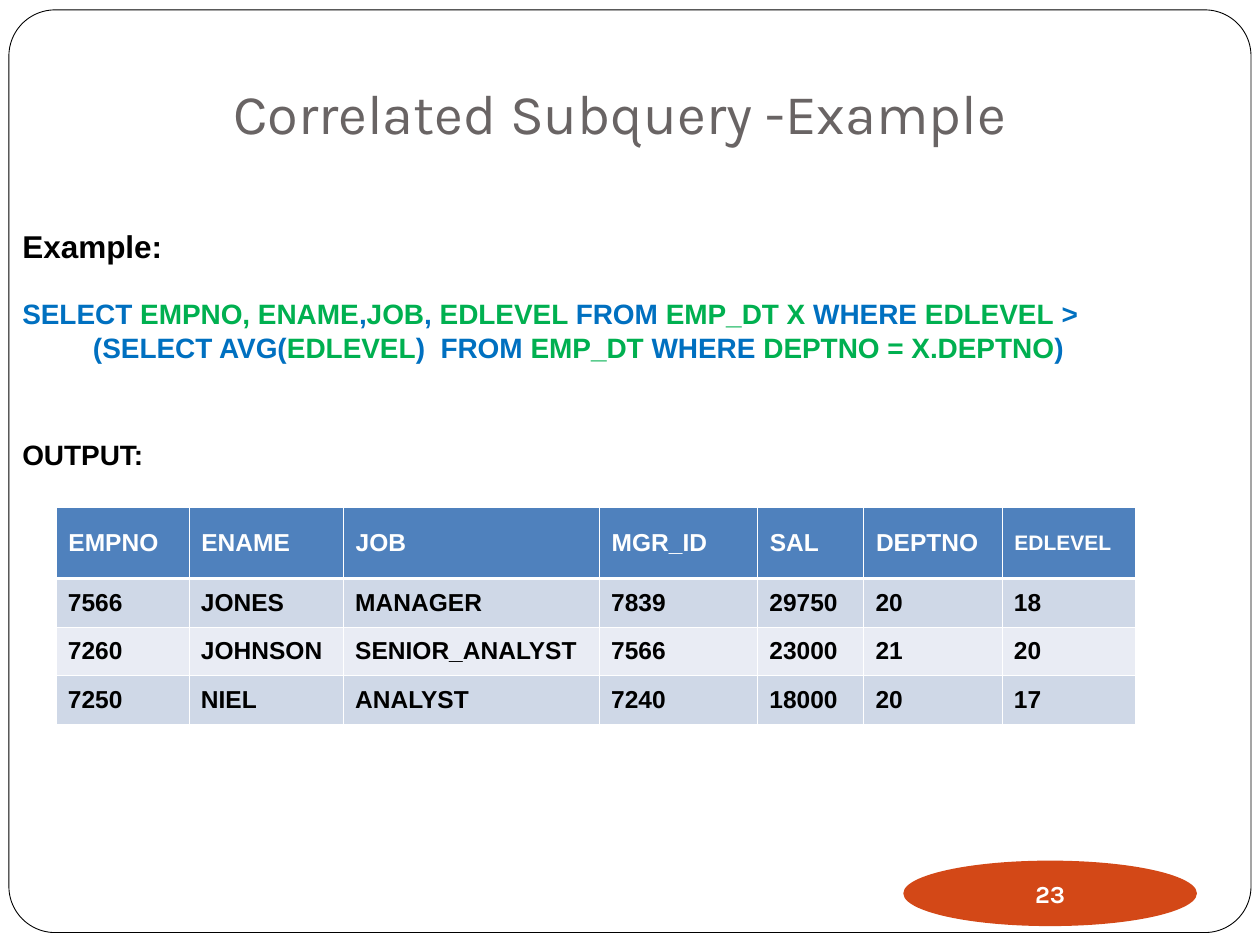
from lxml import etree
from pptx import Presentation
from pptx.dml.color import RGBColor
from pptx.enum.shapes import MSO_SHAPE
from pptx.enum.text import MSO_ANCHOR, PP_ALIGN
from pptx.oxml.ns import qn
from pptx.util import Cm, Pt

ROUNDED, OVAL = MSO_SHAPE.ROUNDED_RECTANGLE, MSO_SHAPE.OVAL
MIDDLE, BOTTOM = MSO_ANCHOR.MIDDLE, MSO_ANCHOR.BOTTOM
CENTER = PP_ALIGN.CENTER
WHITE, BLACK, BLUE, GREEN = "FFFFFF", "000000", "0070C0", "00B050"


def rgb(color):
    return RGBColor.from_string(color)


def style(p, size, color, name="Arial", bold=True):
    p.font.size = Pt(size)
    p.font.name = name
    p.font.bold = bold
    p.font.color.rgb = rgb(color)


prs = Presentation()
prs.slide_width, prs.slide_height = Cm(25.4), Cm(19.05)
s = prs.slides.add_slide(prs.slide_layouts[6])

# Rounded frame
frame = s.shapes.add_shape(ROUNDED, Cm(0.18), Cm(0.2), Cm(25.04), Cm(18.6))
frame.shadow.inherit = False
frame.adjustments[0] = 0.05
frame.fill.solid()
frame.fill.fore_color.rgb = rgb(WHITE)
frame.line.color.rgb = rgb(BLACK)
frame.line.width = Pt(0.5)

# Title
title = s.shapes.add_textbox(Cm(4.45), Cm(0), Cm(20.95), Cm(3.18))
tf = title.text_frame
tf.word_wrap = True
tf.vertical_anchor = BOTTOM
tf.margin_bottom = Cm(0.25)
p = tf.paragraphs[0]
p.text = "Correlated Subquery -Example"
style(p, 32, "696464", "Karla", False)

# Slide number
badge = s.shapes.add_shape(OVAL, Cm(18.21), Cm(17.35), Cm(5.92), Cm(1.32))
badge.shadow.inherit = False
badge.fill.solid()
badge.fill.fore_color.rgb = rgb("D34817")
badge.line.fill.background()
tf = badge.text_frame
tf.word_wrap = False
tf.vertical_anchor = MIDDLE
tf.margin_left = tf.margin_right = tf.margin_top = tf.margin_bottom = 0
p = tf.paragraphs[0]
p.text = "23"
p.alignment = CENTER
style(p, 14, WHITE, "Karla")

# Result table
rows = [
    ["EMPNO", "ENAME", "JOB", "MGR_ID", "SAL", "DEPTNO", "EDLEVEL"],
    ["7566", "JONES", "MANAGER", "7839", "29750", "20", "18"],
    ["7260", "JOHNSON", "SENIOR_ANALYST", "7566", "23000", "21", "20"],
    ["7250", "NIEL", "ANALYST", "7240", "18000", "20", "17"],
]
widths = [2.68, 3.11, 5.16, 3.19, 2.14, 2.79, 2.68]
heights = [1.43, 0.98, 0.98, 0.98]
fills = ["4F81BD", "CFD8E7", "E9ECF4", "CFD8E7"]
table = s.shapes.add_table(len(rows), len(widths), Cm(1.13), Cm(10.23),
                           Cm(sum(widths)), Cm(sum(heights))).table
for column, width in zip(table.columns, widths):
    column.width = Cm(width)
for i, values in enumerate(rows):
    table.rows[i].height = Cm(heights[i])
    for j, value in enumerate(values):
        cell = table.cell(i, j)
        cell.vertical_anchor = MIDDLE
        cell.margin_left = cell.margin_right = Cm(0.24 if i else 0.25)
        p = cell.text_frame.paragraphs[0]
        p.text = value
        style(p, 12 if value == "EDLEVEL" else 14, BLACK if i else WHITE)
        # Thin white borders, thicker under the header
        thick = {(0, "lnB"), (1, "lnT")}
        for side in ("lnL", "lnR", "lnT", "lnB"):
            width = Pt(1.5 if (i, side) in thick else 0.45)
            ln = etree.SubElement(cell._tc.get_or_add_tcPr(), qn(f"a:{side}"), w=str(width))
            solid = etree.SubElement(ln, qn("a:solidFill"))
            etree.SubElement(solid, qn("a:srgbClr"), val=WHITE)
        cell.fill.solid()
        cell.fill.fore_color.rgb = rgb(fills[i])

# Example query: keywords blue, identifiers green, in turn
query = [
    ["SELECT ", "EMPNO, ENAME", ",", "JOB", ", ", "EDLEVEL ", "FROM ",
     "EMP_DT X", " WHERE ", "EDLEVEL", " >"],
    ["\t (SELECT AVG(", "EDLEVEL", ")  FROM ", "EMP_DT", " WHERE ",
     "DEPTNO = X.DEPTNO", ")"],
]
example = s.shapes.add_textbox(Cm(0.2), Cm(4.45), Cm(25.15), Cm(3.05))
tf = example.text_frame
tf.word_wrap = True
p = tf.paragraphs[0]
p.text = "Example:"
style(p, 18, BLACK)
for n, parts in enumerate(query):
    p = tf.add_paragraph()
    if n == 0:
        p.space_before = Pt(18.4)
    style(p, 16, BLUE)
    for k, part in enumerate(parts):
        r = p.add_run()
        r.text = part
        r.font.color.rgb = rgb(GREEN if k % 2 else BLUE)

# Output label
output = s.shapes.add_textbox(Cm(0.2), Cm(8.69), Cm(3.81), Cm(0.94))
tf = output.text_frame
tf.word_wrap = True
p = tf.paragraphs[0]
p.text = "OUTPUT:"
style(p, 16, BLACK)

prs.save("out.pptx")
